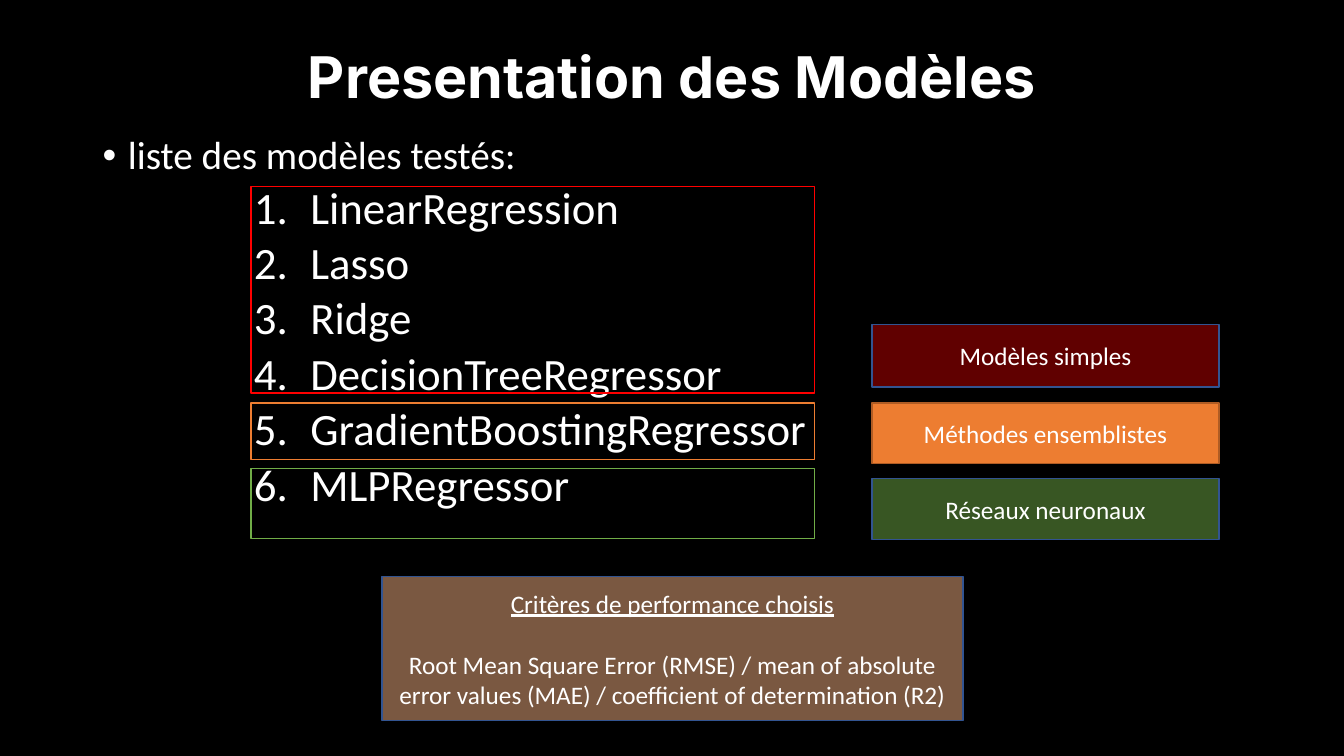
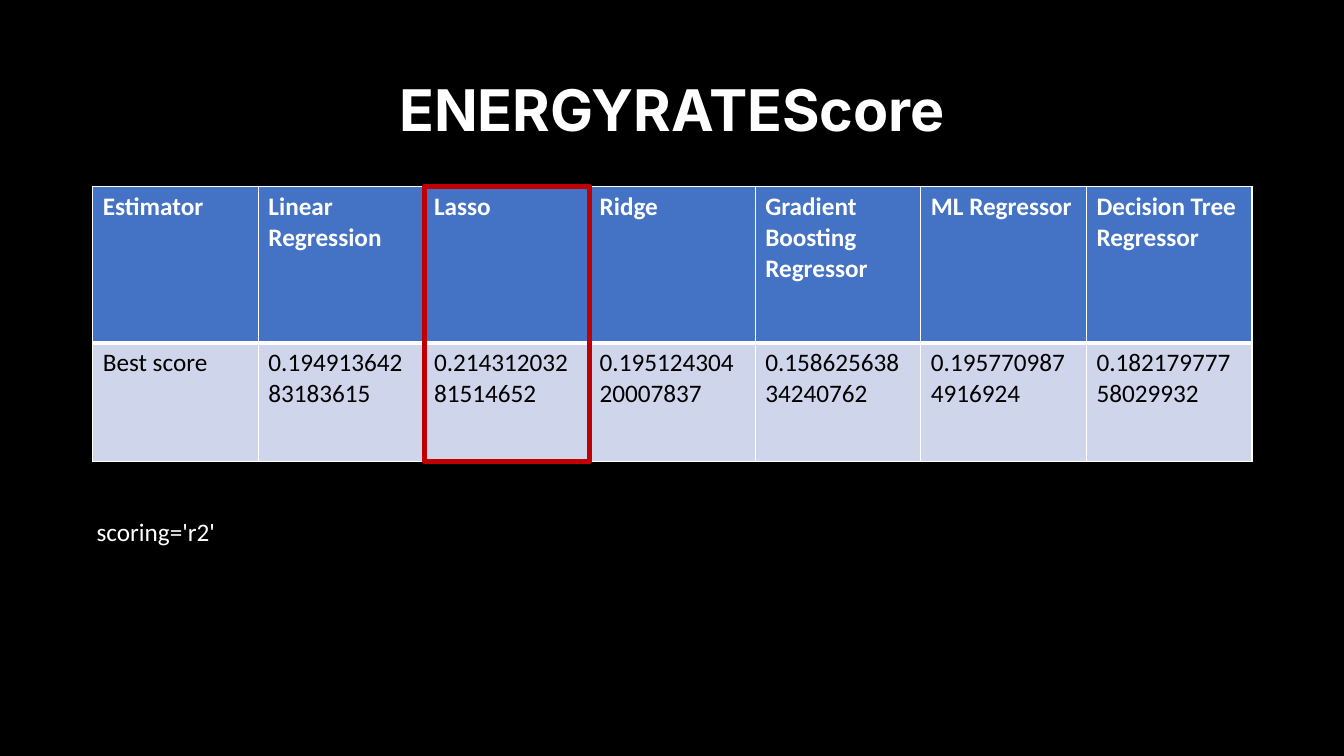
from collections import namedtuple

from lxml.etree import SubElement
from pptx import Presentation
from pptx.dml.color import RGBColor
from pptx.enum.shapes import MSO_SHAPE
from pptx.enum.text import MSO_ANCHOR, PP_ALIGN
from pptx.oxml.ns import qn
from pptx.util import Inches, Pt

Box = namedtuple("Box", "left top width height")

COLORS = {
    "black": "000000",
    "white": "FFFFFF",
    "red": "FF0000",
    "dark_red": "C00000",
    "orange": "ED7D31",
    "brown": "AF5C24",
    "green": "70AD47",
    "peach": "F4B183",
    "navy": "325491",
    "header": "4472C4",
    "band": "CFD5EA",
}
TITLE_FONT = "Inter"
BODY_FONT = "Calibri"

MODELS = [
    "LinearRegression",
    "Lasso",
    "Ridge",
    "DecisionTreeRegressor",
    "GradientBoostingRegressor",
    "MLPRegressor",
]
SCORES = [
    ("Estimator", "Best score"),
    ("Linear Regression", "0.19491364283183615"),
    ("Lasso", "0.21431203281514652"),
    ("Ridge", "0.19512430420007837"),
    ("Gradient Boosting Regressor", "0.15862563834240762"),
    ("ML Regressor", "0.1957709874916924"),
    ("Decision Tree Regressor", "0.18217977758029932"),
]


def color(name):
    """Return the named colour as an RGB value."""
    return RGBColor.from_string(COLORS[name])


def inches(box):
    """Convert a box to lengths."""
    return [Inches(value) for value in box]


def style(para, size=18, name=BODY_FONT, ink="white", bold=False):
    """Set the font of a paragraph."""
    font = para.font
    font.size, font.name, font.bold = Pt(size), name, bold
    font.color.rgb = color(ink)


def add_text(page, box, anchor=MSO_ANCHOR.TOP):
    """Add a wrapping text box and return its frame."""
    frame = page.shapes.add_textbox(*inches(box)).text_frame
    frame.word_wrap = True
    frame.vertical_anchor = anchor
    return frame


def add_title(page, box, text):
    """Add a centred slide title."""
    para = add_text(page, box, MSO_ANCHOR.MIDDLE).paragraphs[0]
    para.text = text
    para.alignment = PP_ALIGN.CENTER
    para.line_spacing = 0.9
    style(para, 41, TITLE_FONT, bold=True)


def add_block(page, box, line, fill=None, opacity=100, weight=1, lines=()):
    """Add an outlined rectangle with optional fill and centred lines."""
    block = page.shapes.add_shape(MSO_SHAPE.RECTANGLE, *inches(box))
    block.shadow.inherit = False
    block.line.color.rgb = color(line)
    block.line.width = Pt(weight)
    if fill:
        block.fill.solid()
        block.fill.fore_color.rgb = color(fill)
    else:
        block.fill.background()
    if opacity < 100:
        tint = block.fill._xPr.find(qn("a:solidFill"))[0]
        SubElement(tint, qn("a:alpha"), val=str(opacity * 1000))
    frame = block.text_frame
    frame.word_wrap = True
    frame.vertical_anchor = MSO_ANCHOR.MIDDLE
    for index, text in enumerate(lines):
        para = frame.add_paragraph() if index else frame.paragraphs[0]
        para.text = text
        para.alignment = PP_ALIGN.CENTER
        style(para)
    return block


def set_marker(para, margin, hanging, kind, **values):
    """Give a paragraph a hanging bullet or number."""
    props = para._p.get_or_add_pPr()
    props.set("marL", str(Inches(margin)))
    props.set("indent", str(-Inches(hanging)))
    SubElement(props, qn("a:buFont"), typeface="Arial" if kind == "a:buChar" else "+mj-lt")
    SubElement(props, qn(kind), **values)


def add_model_list(page, box):
    """Add the bulleted heading and the numbered models."""
    frame = add_text(page, box)
    heading = frame.paragraphs[0]
    heading.text = "liste des modèles testés:"
    heading.line_spacing, heading.space_before = 0.9, Pt(10)
    style(heading, 28)
    set_marker(heading, 0.25, 0.25, "a:buChar", char="•")
    for model in MODELS:
        para = frame.add_paragraph()
        para.text = model
        para.level = 3
        para.line_spacing, para.space_before = 0.9, Pt(5)
        style(para, 32)
        set_marker(para, 2.06, 0.56, "a:buAutoNum", type="arabicPeriod")


def add_families(page, box):
    """Frame each group of models and label it on the right."""
    groups = [
        ("Modèles simples", 0, 2.05, "red", 1.37, 0.62, "dark_red", 50, "navy"),
        ("Méthodes ensemblistes", 2.15, 0.56, "orange", 2.15, 0.6, "orange", 100, "brown"),
        ("Réseaux neuronaux", 2.8, 0.69, "green", 2.9, 0.6, "green", 50, "navy"),
    ]
    label_width = 3.44
    label_left = box.left + box.width - label_width
    for text, top, height, frame, label_top, label_height, fill, opacity, line in groups:
        add_block(page, Box(box.left, box.top + top, 5.59, height), frame)
        label = Box(label_left, box.top + label_top, label_width, label_height)
        add_block(page, label, line, fill, opacity, lines=[text])


def add_criteria(page, box):
    """Add the panel of performance criteria."""
    lines = [
        "Critères de performance choisis",
        "Root Mean Square Error (RMSE) / mean of absolute error values (MAE) / "
        "coefficient of determination (R2)",
    ]
    panel = add_block(page, box, "navy", "peach", 50, lines=lines)
    heading, detail = panel.text_frame.paragraphs
    heading.font.underline = True
    detail.space_before = Pt(22)


def set_borders(cell, **weights):
    """Draw white cell borders with the given weights in points."""
    props = cell._tc.get_or_add_tcPr()
    for side in ("L", "R", "T", "B"):
        line = SubElement(props, qn(f"a:ln{side}"), w=str(Pt(weights.get(side, 1))))
        fill = SubElement(line, qn("a:solidFill"))
        SubElement(fill, qn("a:srgbClr"), val=COLORS["white"])


def add_scores(page, box, best):
    """Add the score table and outline the best column."""
    column_width = box.width / len(SCORES)
    table = page.shapes.add_table(2, len(SCORES), *inches(box)).table
    rows = [(1.55, "header", "white", {"B": 3}), (box.height - 1.55, "band", "black", {"T": 3})]
    for row, (height, fill, ink, weights) in enumerate(rows):
        table.rows[row].height = Inches(height)
        for column, texts in enumerate(SCORES):
            table.columns[column].width = Inches(column_width)
            cell = table.cell(row, column)
            cell.text = texts[row]
            style(cell.text_frame.paragraphs[0], ink=ink, bold=row == 0)
            set_borders(cell, **weights)
            cell.fill.solid()
            cell.fill.fore_color.rgb = color(fill)
    outline = Box(box.left + best * column_width, box.top, column_width, box.height)
    add_block(page, outline, "dark_red", weight=3.5)


def build_models(page):
    """Build the slide that presents the models."""
    add_title(page, Box(0.92, 0.07, 11.5, 1.45), "Presentation des Modèles")
    add_model_list(page, Box(0.92, 1.3, 11.5, 6.13))
    add_families(page, Box(2.49, 1.85, 9.6, 3.5))
    add_criteria(page, Box(3.79, 5.72, 5.76, 1.43))


def build_scores(page):
    """Build the slide that compares the scores."""
    add_title(page, Box(0.92, 0.4, 11.5, 1.45), "ENERGYRATEScore")
    add_scores(page, Box(0.92, 1.85, 11.5, 2.73), best=2)
    para = add_text(page, Box(0.86, 5.07, 6.67, 0.4)).paragraphs[0]
    para.text = "scoring='r2'"
    style(para)


def main():
    """Build and save the deck."""
    deck = Presentation()
    deck.slide_width, deck.slide_height = Inches(13.33), Inches(7.5)
    backdrop = deck.slide_master.background.fill
    backdrop.solid()
    backdrop.fore_color.rgb = color("black")
    for build in (build_models, build_scores):
        build(deck.slides.add_slide(deck.slide_layouts[6]))
    deck.save("out.pptx")


if __name__ == "__main__":
    main()
